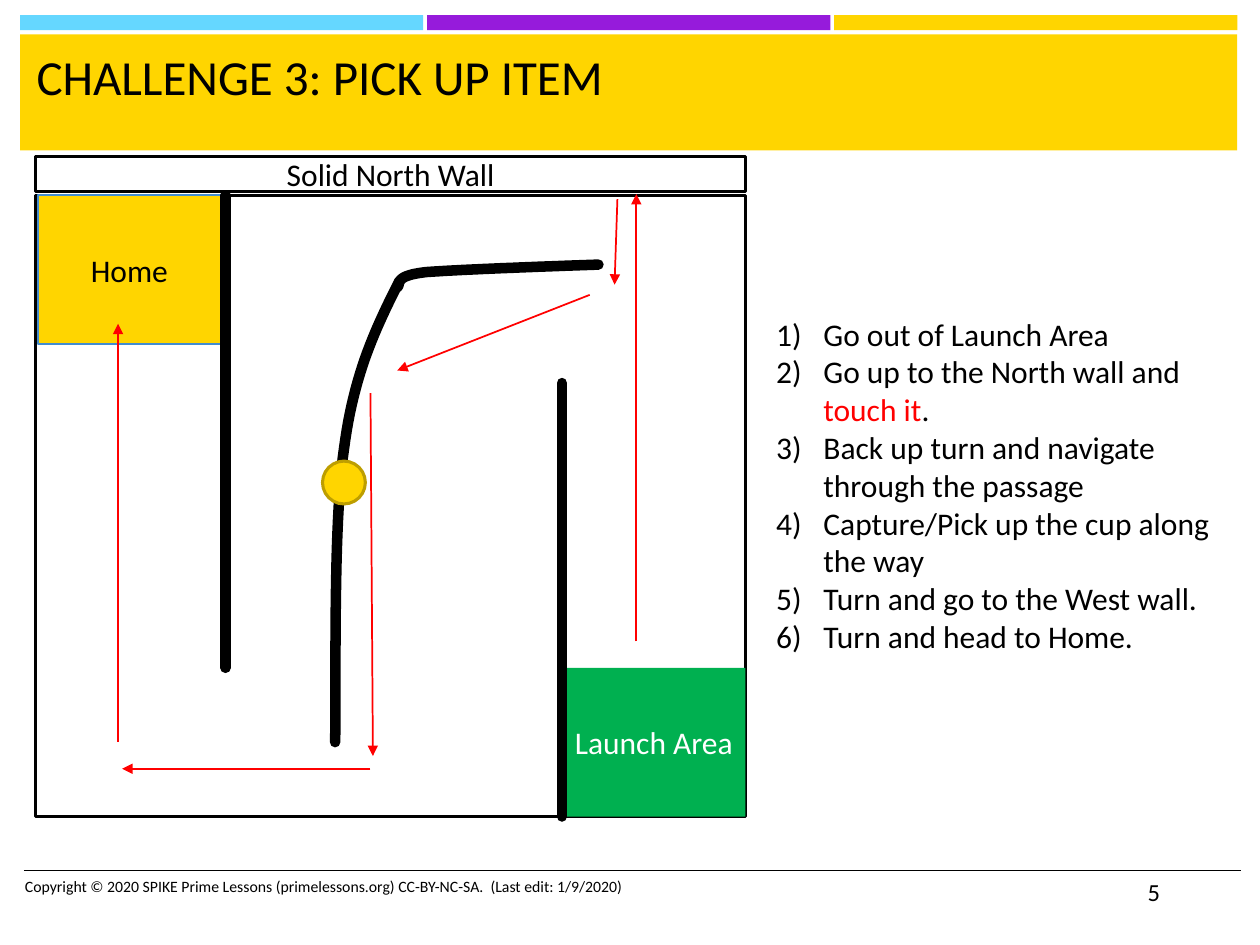
from lxml import etree
from pptx import Presentation
from pptx.dml.color import RGBColor
from pptx.enum.shapes import MSO_CONNECTOR, MSO_SHAPE
from pptx.enum.text import MSO_ANCHOR, MSO_AUTO_SIZE, PP_ALIGN
from pptx.oxml.ns import qn
from pptx.util import Pt

RECTANGLE, OVAL = MSO_SHAPE.RECTANGLE, MSO_SHAPE.OVAL
STRAIGHT = MSO_CONNECTOR.STRAIGHT
TOP, MIDDLE = MSO_ANCHOR.TOP, MSO_ANCHOR.MIDDLE
LEFT, CENTER = PP_ALIGN.LEFT, PP_ALIGN.CENTER
NO_AUTOFIT = MSO_AUTO_SIZE.NONE

BLACK = RGBColor(0x00, 0x00, 0x00)
WHITE = RGBColor(0xFF, 0xFF, 0xFF)
RED = RGBColor(0xFF, 0x00, 0x00)
GREEN = RGBColor(0x00, 0xB0, 0x50)
YELLOW = RGBColor(0xFF, 0xD5, 0x00)
GOLD = RGBColor(0xBD, 0x9E, 0x00)
SKY = RGBColor(0x65, 0xD7, 0xFF)
PURPLE = RGBColor(0x96, 0x1B, 0xDB)
BLUE = RGBColor(0x43, 0x8C, 0xCF)

FONT = "Calibri"
WALL_WIDTH = 6
CURVE_STEPS = 24

STEPS = [
    ["Go out of Launch Area"],
    ["Go up to the North wall and ", ("touch it", RED), "."],
    ["Back up turn and navigate through the passage"],
    ["Capture/Pick up the cup along the way"],
    ["Turn and go to the West wall."],
    ["Turn and head to Home."],
]
ROUTE = [
    ((363.6, 366.5), (363.6, 110.9)),
    ((352.8, 113.8), (351.2, 162.7)),
    ((337, 168.5), (227, 211.7)),
    ((211.7, 224.6), (213.1, 432)),
    ((211.7, 439.3), (69.8, 439.3)),
    ((67.5, 424), (67.5, 185)),
]
STRAIGHT_WALLS = [
    ((128.9, 381.6), (128.9, 111.6)),
    ((321.1, 466.6), (321.1, 218.9)),
]
CURVED_WALLS = [
    [(228.2, 160.6), (215.3, 186.5), (202.3, 212.4), (196.6, 256.3),
     (190.1, 300.2), (192.2, 394.6), (191.5, 424.1)],
    [(342, 151.2), (302.4, 152.6), (262.1, 154.1), (243.4, 155.5),
     (223.9, 157.7), (229.7, 162.7), (226.8, 164.2)],
]


def write_text(shape, paragraphs, size=18, color=BLACK, align=LEFT, anchor=TOP, numbered=False):
    """Write paragraphs made of plain strings or (text, colour) pairs."""
    frame = shape.text_frame
    frame.word_wrap = True
    frame.auto_size = NO_AUTOFIT
    frame.vertical_anchor = anchor
    for index, parts in enumerate(paragraphs):
        paragraph = frame.add_paragraph() if index else frame.paragraphs[0]
        paragraph.alignment = align
        paragraph.space_before = Pt(0)
        if numbered:
            properties = paragraph._p.get_or_add_pPr()
            properties.set("marL", str(Pt(27)))
            properties.set("indent", str(-Pt(27)))
            etree.SubElement(properties, qn("a:buAutoNum"), type="arabicParenR")
        for part in parts:
            text, run_color = (part, color) if isinstance(part, str) else part
            run = paragraph.add_run()
            run.text = text
            run.font.name = FONT
            run.font.size = Pt(size)
            run.font.color.rgb = run_color


def add_block(slide, left, top, width, height, fill, outline=None, outline_width=1, kind=RECTANGLE):
    """Add a flat filled shape with an optional outline."""
    shape = slide.shapes.add_shape(kind, Pt(left), Pt(top), Pt(width), Pt(height))
    shape.shadow.inherit = False
    shape.fill.solid()
    shape.fill.fore_color.rgb = fill
    if outline is None:
        shape.line.fill.background()
    else:
        shape.line.color.rgb = outline
        shape.line.width = Pt(outline_width)
    return shape


def add_label(slide, text, left, top, width, height, size):
    """Add a plain text box."""
    box = slide.shapes.add_textbox(Pt(left), Pt(top), Pt(width), Pt(height))
    write_text(box, [[text]], size=size)


def add_line(slide, start, end, color, width=1, arrow=False):
    """Add a straight connector, with an arrowhead at its end if asked."""
    line = slide.shapes.add_connector(STRAIGHT, *(Pt(value) for value in start + end))
    line.line.color.rgb = color
    line.line.width = Pt(width)
    properties = line.element.spPr
    if arrow:
        etree.SubElement(properties.get_or_add_ln(), qn("a:tailEnd"), type="triangle")
    etree.SubElement(properties, qn("a:effectLst"))
    return line


def round_ends(shape):
    """Give an outline round caps and joins."""
    outline = shape.element.spPr.get_or_add_ln()
    outline.set("cap", "rnd")
    etree.SubElement(outline, qn("a:round"))


def curve_points(controls):
    """Sample a chain of cubic curves that share end points."""
    points = [controls[0]]
    for first in range(0, len(controls) - 1, 3):
        for step in range(1, CURVE_STEPS + 1):
            t = step / CURVE_STEPS
            weights = ((1 - t) ** 3, 3 * t * (1 - t) ** 2, 3 * t * t * (1 - t), t ** 3)
            segment = controls[first:first + 4]
            points.append(tuple(sum(w * point[axis] for w, point in zip(weights, segment))
                                for axis in (0, 1)))
    return [(Pt(x), Pt(y)) for x, y in points]


def add_curved_wall(slide, controls):
    """Add an open, thick black curve."""
    points = curve_points(controls)
    builder = slide.shapes.build_freeform(*points[0])
    builder.add_line_segments(points[1:], close=False)
    wall = builder.convert_to_shape()
    wall.shadow.inherit = False
    wall.fill.background()
    wall.line.color.rgb = BLACK
    wall.line.width = Pt(WALL_WIDTH)
    round_ends(wall)


def place(shape, left, top, width, height):
    """Move a placeholder and bring it to the front."""
    shape.left, shape.top, shape.width, shape.height = Pt(left), Pt(top), Pt(width), Pt(height)
    shape.element.getparent().append(shape.element)


def add_frame(slide):
    """Add the banner, title and footer."""
    for index, color in enumerate((SKY, PURPLE, YELLOW)):
        add_block(slide, 11.5 + index * 232.6, 8.7, 230.4, 8.6, color)
    add_block(slide, 11.5, 19.7, 695.5, 66.2, YELLOW)
    title = slide.shapes.title
    place(title, 13.7, 23, 689, 59)
    write_text(title, [["CHALLENGE 3: PICK UP ITEM"]], size=28)
    add_line(slide, (13.7, 497.5), (709.2, 497.5), BLACK)
    add_label(slide, "Copyright © 2020 SPIKE Prime Lessons (primelessons.org) CC-BY-NC-SA. "
              " (Last edit: 1/9/2020)", 7.2, 497.5, 383.8, 28.8, 9)
    add_label(slide, "5", 648.7, 497.5, 60.5, 28.8, 14)


def add_field(slide):
    """Add the field with its areas, walls, route and cup."""
    add_block(slide, 20.2, 111.6, 406, 355, WHITE, BLACK, 1.75)
    north_wall = add_block(slide, 20.2, 89.3, 406, 20.2, WHITE, BLACK, 1.75)
    launch = add_block(slide, 321.3, 381.6, 104.7, 85, GREEN)
    home = add_block(slide, 21.6, 111.6, 104.7, 85, YELLOW, BLUE)
    for shape, text, color in ((north_wall, "Solid North Wall", BLACK),
                               (launch, "Launch Area", WHITE), (home, "Home", BLACK)):
        write_text(shape, [[text]], color=color, align=CENTER, anchor=MIDDLE)
        shape.text_frame.margin_left = shape.text_frame.margin_right = Pt(3)
    for start, end in STRAIGHT_WALLS:
        round_ends(add_line(slide, start, end, BLACK, WALL_WIDTH))
    for controls in CURVED_WALLS:
        add_curved_wall(slide, controls)
    for start, end in ROUTE:
        add_line(slide, start, end, RED, arrow=True)
    add_block(slide, 184.3, 263.5, 24.5, 24.5, YELLOW, GOLD, 1.75, kind=OVAL)


def add_steps(slide):
    """Fill the body placeholder with the numbered steps."""
    body = slide.placeholders[1]
    place(body, 436.3, 110.2, 262, 355)
    write_text(body, STEPS, anchor=MIDDLE, numbered=True)
    body.text_frame.margin_bottom = Pt(25.2)


def main():
    """Build and save the slide."""
    presentation = Presentation()
    presentation.slide_width, presentation.slide_height = Pt(720), Pt(540)
    slide = presentation.slides.add_slide(presentation.slide_layouts[1])
    add_frame(slide)
    add_field(slide)
    add_steps(slide)
    presentation.save("out.pptx")


if __name__ == "__main__":
    main()
